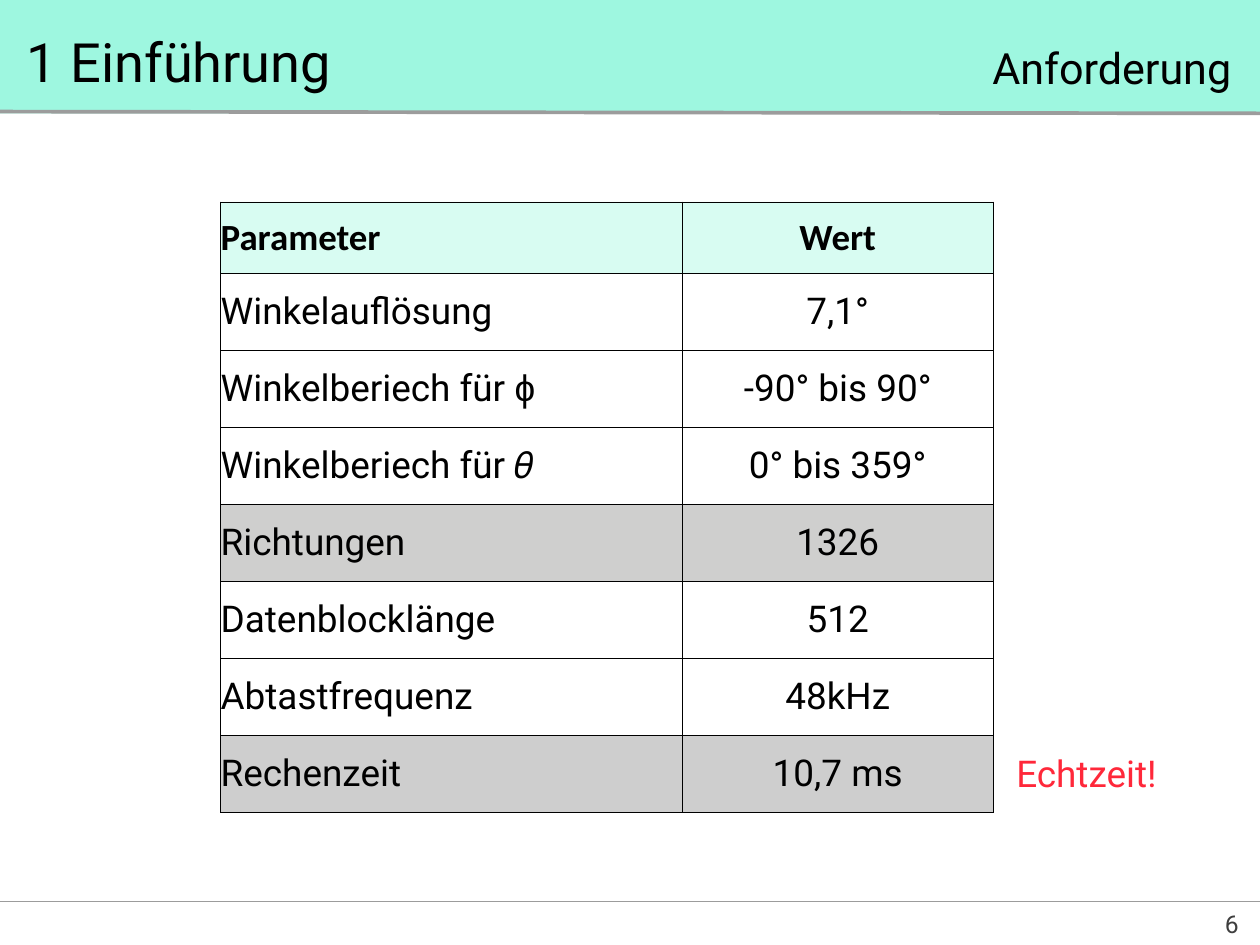
import dataclasses

import pptx
import pptx.dml.color
import pptx.enum.shapes
import pptx.enum.text
import pptx.oxml
import pptx.oxml.ns
import pptx.util

Inches = pptx.util.Inches
Pt = pptx.util.Pt
Align = pptx.enum.text.PP_ALIGN
Anchor = pptx.enum.text.MSO_ANCHOR
Fit = pptx.enum.text.MSO_AUTO_SIZE
Kind = pptx.enum.shapes


@dataclasses.dataclass(frozen=True)
class Theme:
    text: str = "000000"
    band: str = "9EF7E0"
    rule: str = "9C9C9C"
    head: tuple = ("9DF8DF", 39)
    gray: tuple = ("CFCFCE", 100)
    dim: tuple = ("828281", 39)
    alert: str = "FF283A"
    page: str = "3E3E3E"
    font: str = "Roboto"
    bold: str = "Calibri"
    sign: str = "Arial"
    title: int = 44
    topic: int = 35
    body: int = 30
    small: int = 20


theme = Theme()

rows = [
    ("Parameter", "Wert", theme.head),
    ("Winkelauflösung", "7,1°", None),
    ("Winkelberiech für ϕ", "-90° bis 90°", None),
    ("Winkelberiech für 𝜃", "0° bis 359°", None),
    ("Richtungen", "1326", theme.gray),
    ("Datenblocklänge", "512", None),
    ("Abtastfrequenz", "48kHz", None),
    ("Rechenzeit", "10,7 ms", theme.dim),
]


def color(code):
    return pptx.dml.color.RGBColor.from_string(code)


def write(para, text, size, tint=theme.text, font=theme.font, bold=False):
    run = para.add_run()
    run.text = text
    run.font.size = Pt(size)
    run.font.name = font
    run.font.bold = bold
    run.font.color.rgb = color(tint)


def frame(shape, inset, anchor, align, wrap=True):
    body = shape.text_frame
    body.auto_size = Fit.NONE
    body.word_wrap = wrap
    body.vertical_anchor = anchor
    body.margin_left = body.margin_right = Inches(inset)
    body.margin_top = body.margin_bottom = Inches(inset)
    para = body.paragraphs[0]
    para.alignment = align
    return para


def rule(slide, x1, y1, x2, y2, width):
    line = slide.shapes.add_connector(
        Kind.MSO_CONNECTOR.STRAIGHT, Inches(x1), Inches(y1), Inches(x2), Inches(y2))
    line.line.color.rgb = color(theme.rule)
    line.line.width = Pt(width)
    line.element.spPr.append(pptx.oxml.parse_xml(
        f'<a:effectLst {pptx.oxml.ns.nsdecls("a")}/>'))


def header(slide, box, title, topic):
    left, top, width, height = box
    band = slide.shapes.add_shape(
        Kind.MSO_SHAPE.RECTANGLE, *map(Inches, box))
    band.shadow.inherit = False
    band.fill.solid()
    band.fill.fore_color.rgb = color(theme.band)
    band.line.fill.background()

    name = slide.shapes.title
    name.element.addprevious(band.element)
    name.left, name.top = Inches(left + 0.28), Inches(top + 0.19)
    name.width, name.height = Inches(4.5), Inches(0.92)
    note = slide.shapes.add_textbox(
        Inches(left + width - 4.79), name.top, name.width, name.height)
    for shape, text, size, align in (
            (name, title, theme.title, Align.LEFT),
            (note, topic, theme.topic, Align.RIGHT)):
        para = frame(shape, 0.06, Anchor.BOTTOM, align)
        para.line_spacing = 1.1
        write(para, text, size)
    base = top + height
    rule(slide, 0, base - 0.02, left + width, base, 3)


def paint(cell, fill):
    if fill:
        code, alpha = fill
        cell.fill.solid()
        cell.fill.fore_color.rgb = color(code)
        if alpha < 100:
            tint = cell.fill._xPr.find(".//" + pptx.oxml.ns.qn("a:srgbClr"))
            tint.append(pptx.oxml.parse_xml(
                f'<a:alpha {pptx.oxml.ns.nsdecls("a")} val="{alpha * 1000}"/>'))
    else:
        cell.fill.background()
    props = cell._tc.get_or_add_tcPr()
    for spot, side in enumerate("LRTB"):
        props.insert(spot, pptx.oxml.parse_xml(
            f'<a:ln{side} {pptx.oxml.ns.nsdecls("a")} w="{Pt(0.75)}">'
            f'<a:solidFill><a:srgbClr val="{theme.text}"/></a:solidFill>'
            f'</a:ln{side}>'))


def grid(slide, box):
    left, top, width, height = box
    table = slide.shapes.add_table(len(rows), 2, *map(Inches, box)).table
    table.first_row = table.horz_banding = False
    first, head = 5.21, 0.81
    table.columns[0].width = Inches(first)
    table.columns[1].width = Inches(width - first)
    for y, (*texts, fill) in enumerate(rows):
        step = (height - head) / (len(rows) - 1) if y else head
        table.rows[y].height = Inches(step)
        for x, text in enumerate(texts):
            cell = table.cell(y, x)
            cell.vertical_anchor = Anchor.MIDDLE
            cell.margin_left = cell.margin_right = 0
            cell.margin_top = cell.margin_bottom = 0
            paint(cell, fill)
            para = cell.text_frame.paragraphs[0]
            para.alignment = Align.CENTER if x else Align.LEFT
            font = theme.font if y else theme.bold
            if text.endswith("ϕ"):
                write(para, text[:-1], theme.body)
                write(para, "ϕ", theme.body, font=theme.sign)
            else:
                write(para, text, theme.body, font=font, bold=y == 0)


def remark(slide, box, text):
    note = slide.shapes.add_textbox(*map(Inches, box))
    para = frame(note, 0, Anchor.MIDDLE, Align.LEFT)
    write(para, text, theme.body, theme.alert)


def footer(slide, box, number):
    left, top, width, height = box
    rule(slide, left, top, left + width, top, 1)
    page = slide.shapes.add_textbox(
        Inches(left + width - 0.47), Inches(top + 0.02), Inches(0.28), Inches(0.44))
    para = frame(page, 0.06, Anchor.TOP, Align.RIGHT, wrap=False)
    write(para, number, theme.small, theme.page)


def main():
    deck = pptx.Presentation()
    deck.slide_width, deck.slide_height = Inches(14.22), Inches(10.67)
    slide = deck.slides.add_slide(deck.slide_layouts.get_by_name("Title Only"))
    header(slide, (-0.04, 0, 14.29, 1.28), "1 Einführung", "Anforderung")
    grid(slide, (2.49, 2.28, 8.72, 6.9))
    remark(slide, (11.47, 8.44, 2.57, 0.58), "Echtzeit!")
    footer(slide, (-0.05, 10.18, 14.28, 0.49), "6")
    deck.save("out.pptx")


if __name__ == "__main__":
    main()
